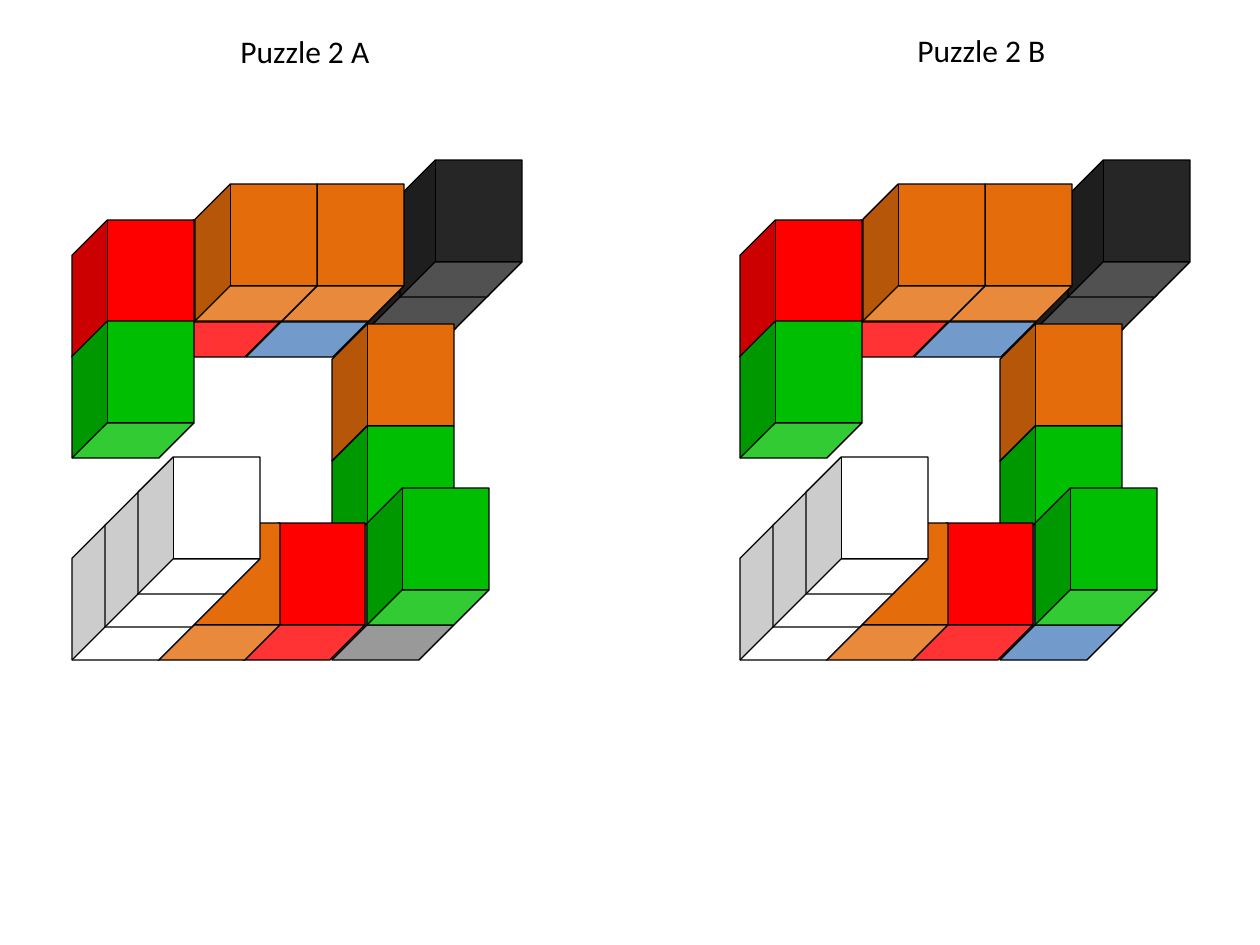
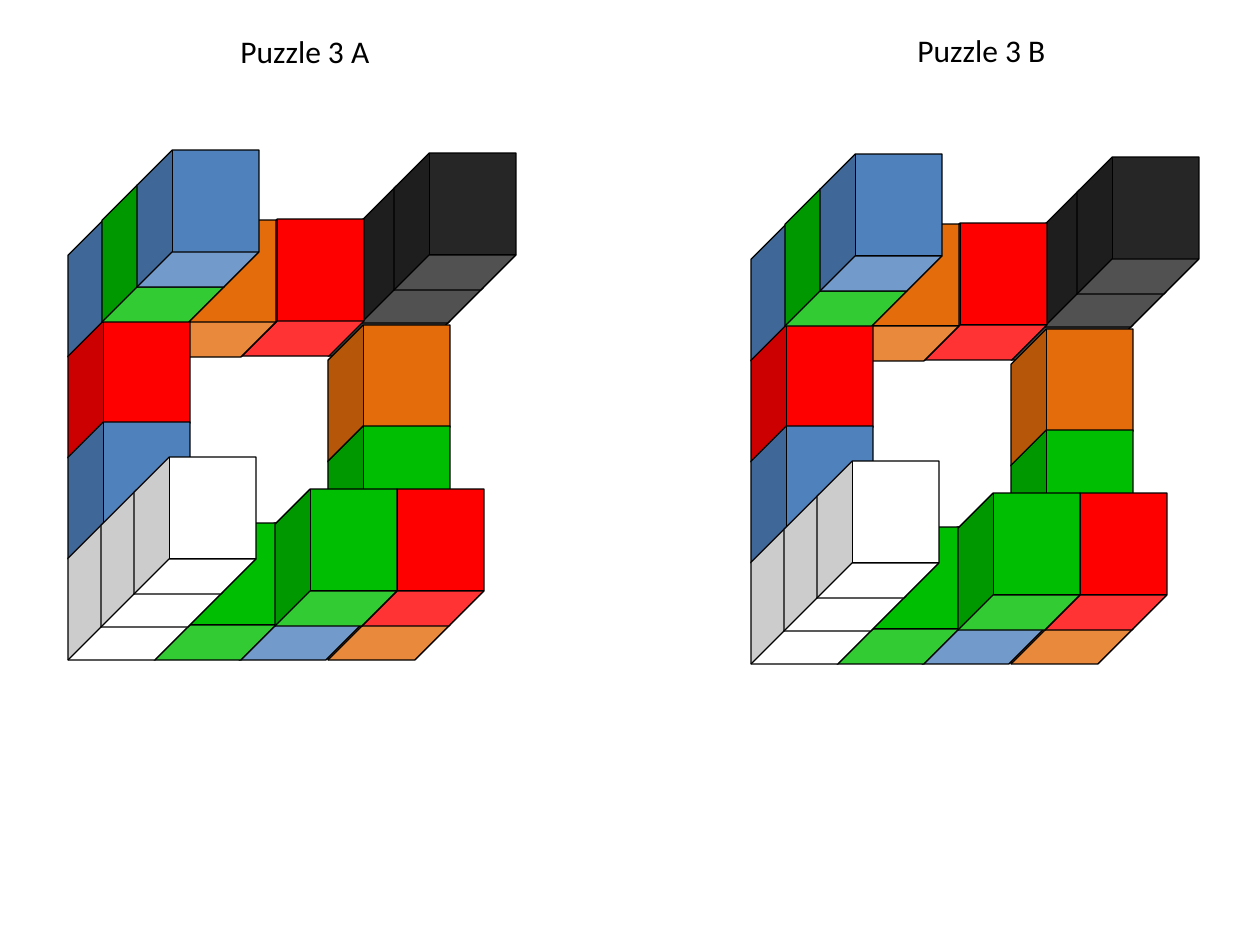
import pptx
import pptx.util
import pptx.dml.color
import pptx.enum.shapes
import pptx.enum.text

RGBColor = pptx.dml.color.RGBColor
BLACK = RGBColor(0x00, 0x00, 0x00)
DARK = RGBColor(0x26, 0x26, 0x26)
GREY = RGBColor(0x80, 0x80, 0x80)
WHITE = RGBColor(0xFF, 0xFF, 0xFF)
ORANGE = RGBColor(0xE4, 0x6C, 0x0A)
GREEN = RGBColor(0x00, 0xBF, 0x02)
RED = RGBColor(0xFF, 0x00, 0x00)
BLUE = RGBColor(0x4F, 0x81, 0xBD)

PIXELS_PER_INCH = 126
CUBE_WIDTH, CUBE_HEIGHT = 122, 137
CUBE_DEPTH = 0.288
ROD_LENGTH, ROD_STEP = 3, 33
CAPTIONS = {"A": (228, 26), "B": (905, 25)}


def puzzle_two(corner):
    return [
        ("rod", 334, 226, DARK),
        ("cube", 332, 324, ORANGE),
        ("cube", 332, 426, GREEN),
        ("cube", 332, 523, corner),
        ("cube", 243, 523, RED),
        ("cube", 158, 523, ORANGE),
        ("cube", 246, 220, BLUE),
        ("cube", 158, 220, RED),
        ("cube", 72, 220, RED),
        ("cube", 72, 321, GREEN),
        ("rod", 72, 523, WHITE),
        ("cube", 367, 488, GREEN),
        ("cube", 282, 184, ORANGE),
        ("cube", 195, 184, ORANGE),
    ]


PUZZLE_THREE = [
    ("rod", 328, 219, DARK),
    ("cube", 242, 219, RED),
    ("cube", 328, 325, ORANGE),
    ("cube", 328, 426, GREEN),
    ("cube", 328, 523, ORANGE),
    ("cube", 239, 523, BLUE),
    ("cube", 154, 523, GREEN),
    ("cube", 154, 220, ORANGE),
    ("cube", 68, 220, BLUE),
    ("cube", 68, 321, RED),
    ("cube", 68, 422, BLUE),
    ("rod", 68, 523, WHITE),
    ("cube", 362, 489, RED),
    ("cube", 102, 185, GREEN),
    ("cube", 137, 150, BLUE),
    ("cube", 275, 489, GREEN),
]


def px(length):
    return pptx.util.Emu(round(length * pptx.util.Inches(1) / PIXELS_PER_INCH))


def add_cube(shapes, left, top, colour):
    cube = shapes.add_shape(
        pptx.enum.shapes.MSO_SHAPE.CUBE,
        px(left), px(top), px(CUBE_WIDTH), px(CUBE_HEIGHT))
    cube.rotation = 180
    cube.adjustments[0] = CUBE_DEPTH
    cube.shadow.inherit = False
    cube.fill.solid()
    cube.fill.fore_color.rgb = colour
    cube.line.color.rgb = BLACK
    cube.line.width = pptx.util.Pt(0.75)


def add_rod(shapes, left, top, colour):
    rod = shapes.add_group_shape()
    for index in range(ROD_LENGTH):
        shift = index * ROD_STEP
        add_cube(rod.shapes, left + shift, top - shift, colour)


def add_caption(page, left, top, text):
    box = page.shapes.add_textbox(px(left), px(top), px(156), px(50))
    frame = box.text_frame
    frame.word_wrap = False
    frame.auto_size = pptx.enum.text.MSO_AUTO_SIZE.SHAPE_TO_FIT_TEXT
    span = frame.paragraphs[0].add_run()
    span.text = text
    span.font.name = "Calibri"
    span.font.size = pptx.util.Pt(18)
    span.font.color.rgb = BLACK


def add_figure(page, pieces, right=0, down=0):
    builders = {"cube": add_cube, "rod": add_rod}
    for kind, left, top, colour in pieces:
        builders[kind](page.shapes, left + right, top + down, colour)


def add_puzzle(deck, number, first, second, right, down):
    page = deck.slides.add_slide(deck.slide_layouts.get_by_name("Blank"))
    add_figure(page, first)
    for letter, (left, top) in CAPTIONS.items():
        add_caption(page, left, top, f"Puzzle {number} {letter}")
    add_figure(page, second, right, down)


def main():
    deck = pptx.Presentation()
    deck.slide_width = pptx.util.Inches(10)
    deck.slide_height = pptx.util.Inches(7.5)
    add_puzzle(deck, 2, puzzle_two(GREY), puzzle_two(BLUE), 668, 0)
    add_puzzle(deck, 3, PUZZLE_THREE, PUZZLE_THREE, 683, 4)
    deck.save("out.pptx")


main()
